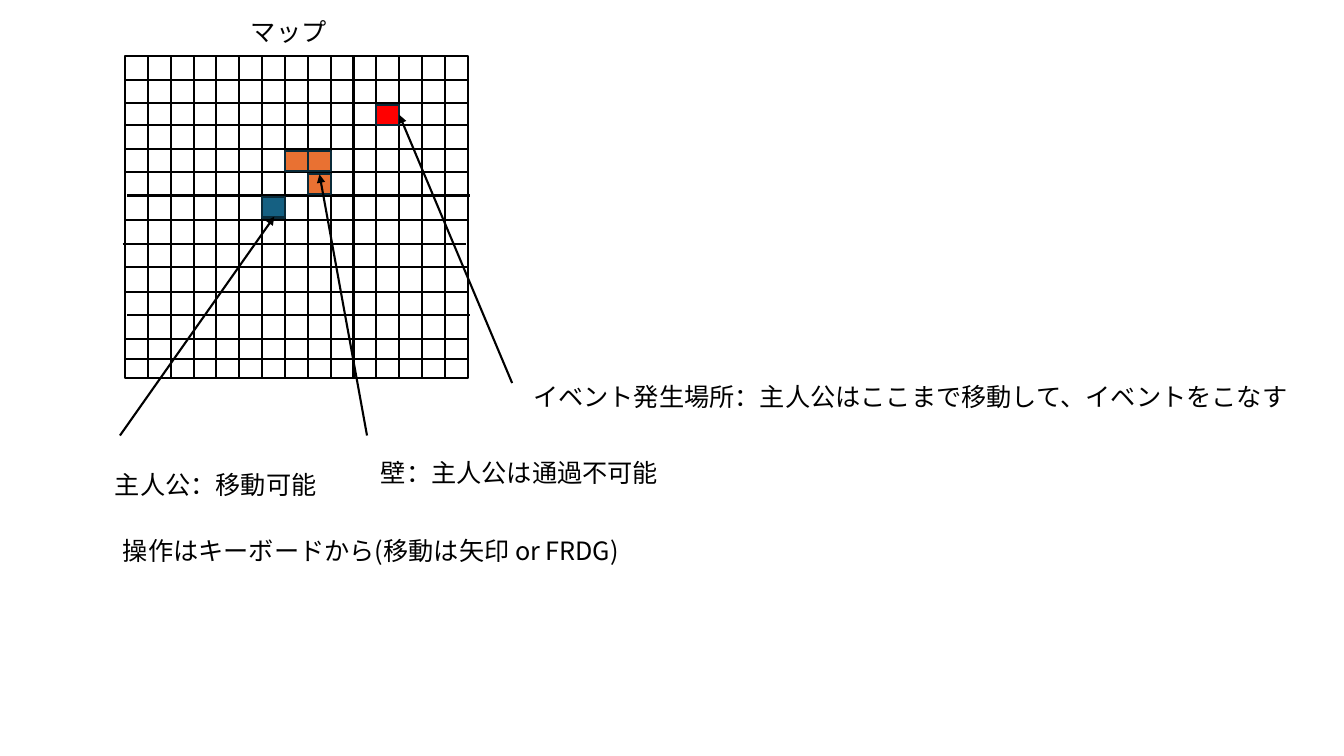
import dataclasses

import pptx
import pptx.dml.color
import pptx.enum.shapes
import pptx.enum.text
import pptx.oxml
import pptx.oxml.ns
import pptx.util


@dataclasses.dataclass(frozen=True)
class Theme:
    font: str = "Noto Sans CJK JP"
    text_size: float = 18
    line_width: float = 1.5
    ink: str = "000000"
    paper: str = "FFFFFF"
    cell_edge: str = "092A39"
    hero: str = "156082"
    wall: str = "E97132"
    event: str = "FF0000"


COLUMNS = 15
MAP_BOTTOM = 13.87
ROW_LINES = (1, 2, 2.96, 4, 5, 6, 7.04, 8.09, 9.09, 10.17, 11.17, 12.17, 13.04)
ROW_SHIFTS = {6: 0.1, 8: -0.1, 11: 0.1}
CELL_INSET, CELL_HEIGHT = 0.08, 0.87
TEXT_HEIGHT = 1.74


def rgb(code):
    return pptx.dml.color.RGBColor.from_string(code)


class MapSlide:
    """Draws in columns and rows counted from the map's top left corner."""

    left, top = 1.24, 0.56
    column, row = 3.4 / COLUMNS, 0.23

    def __init__(self, prs, theme):
        self.theme = theme
        self.slide = prs.slides.add_slide(prs.slide_layouts[6])
        self.shapes = self.slide.shapes

    def point(self, c, r):
        return (pptx.util.Inches(self.left + c * self.column),
                pptx.util.Inches(self.top + r * self.row))

    def size(self, columns, rows):
        return (pptx.util.Inches(columns * self.column),
                pptx.util.Inches(rows * self.row))

    def box(self, shapes, c, r, columns, rows, fill, edge):
        sp = shapes.add_shape(pptx.enum.shapes.MSO_SHAPE.RECTANGLE,
                              *self.point(c, r), *self.size(columns, rows))
        sp.shadow.inherit = False
        sp.fill.solid()
        sp.fill.fore_color.rgb = rgb(fill)
        sp.line.color.rgb = rgb(edge)
        sp.line.width = pptx.util.Pt(self.theme.line_width)

    def line(self, shapes, start, end):
        cxn = shapes.add_connector(pptx.enum.shapes.MSO_CONNECTOR.STRAIGHT,
                                   *self.point(*start), *self.point(*end))
        cxn.line.color.rgb = rgb(self.theme.ink)
        cxn.line.width = pptx.util.Pt(self.theme.line_width)
        pptx.oxml.ns.qn("a:effectLst")
        cxn._element.spPr.append(pptx.oxml.parse_xml(
            f'<a:effectLst {pptx.oxml.ns.nsdecls("a")}/>'))
        return cxn

    def arrow(self, start, end):
        cxn = self.line(self.shapes, start, end)
        cxn.line._get_or_add_ln().append(pptx.oxml.parse_xml(
            f'<a:tailEnd {pptx.oxml.ns.nsdecls("a")} type="triangle"/>'))

    def text(self, wording, c, r, columns, wrap=False):
        sp = self.shapes.add_textbox(*self.point(c, r),
                                     *self.size(columns, TEXT_HEIGHT))
        tf = sp.text_frame
        tf.word_wrap = wrap
        tf.auto_size = pptx.enum.text.MSO_AUTO_SIZE.SHAPE_TO_FIT_TEXT
        p = tf.paragraphs[0]
        p.text = wording
        p.font.size = pptx.util.Pt(self.theme.text_size)
        p.font.color.rgb = rgb(self.theme.ink)
        p.font.name = self.theme.font
        p._p.pPr.find(pptx.oxml.ns.qn("a:defRPr")).append(pptx.oxml.parse_xml(
            f'<a:ea {pptx.oxml.ns.nsdecls("a")} typeface="{self.theme.font}"/>'))

    def map(self, cells):
        """Draws the ruled map as one group, with its coloured cells."""
        shapes = self.shapes.add_group_shape().shapes
        self.box(shapes, 0, 0, COLUMNS, MAP_BOTTOM,
                 self.theme.paper, self.theme.ink)
        for c in range(1, COLUMNS + 1):
            self.line(shapes, (c, 0), (c, MAP_BOTTOM))
        for number, r in enumerate(ROW_LINES, 1):
            shift = ROW_SHIFTS.get(number, 0)
            self.line(shapes, (shift, r), (COLUMNS + shift, r))
        for c, r, fill in cells:
            self.box(shapes, c, r + CELL_INSET, 1, CELL_HEIGHT,
                     fill, self.theme.cell_edge)


def main():
    prs = pptx.Presentation()
    prs.slide_width = pptx.util.Inches(13.33)
    prs.slide_height = pptx.util.Inches(7.5)
    theme = Theme()
    s = MapSlide(prs, theme)

    s.text("マップ", 5.07, -1.96, 4.23)
    s.map([(6, 6, theme.hero), (7, 4, theme.wall), (8, 4, theme.wall),
           (8, 5, theme.wall), (11, 2, theme.event)])

    s.arrow((-0.22, 16.35), (6.53, 6.91))
    s.text("主人公：移動可能", -0.88, 17.61, 9.79)
    s.arrow((10.59, 16.35), (8.51, 5.09))
    s.text("壁：主人公は通過不可能", 10.76, 17.09, 13.15)
    s.arrow((16.94, 14.09), (12, 2.52))
    s.text("イベント発生場所：主人公はここまで移動して、イベントをこなす",
           17.42, 13.78, 34.32)
    s.text("操作はキーボードから(移動は矢印 or FRDG)", -0.53, 20.43, 23.2, wrap=True)

    prs.save("out.pptx")


if __name__ == "__main__":
    main()
